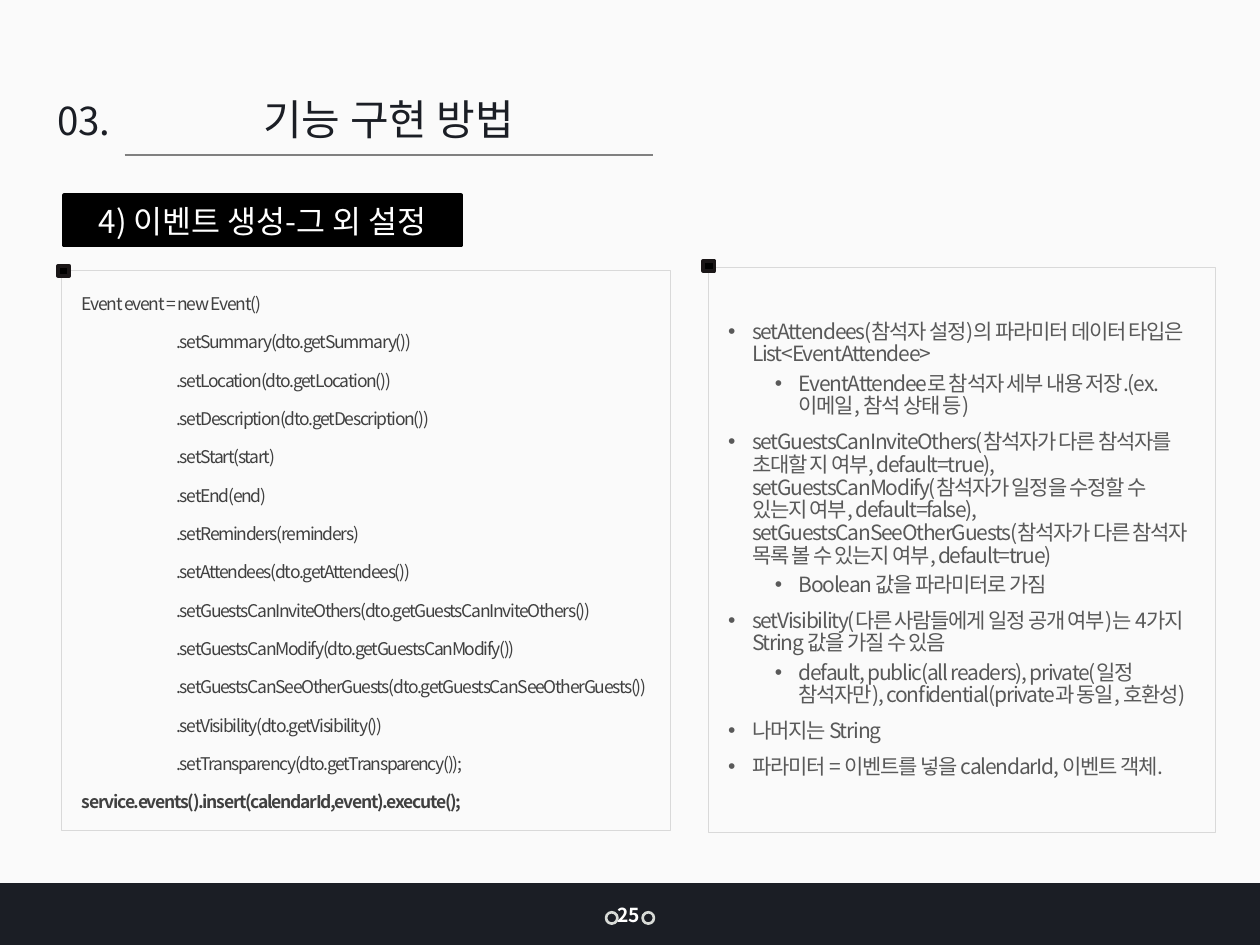
from lxml import etree
from pptx import Presentation
from pptx import util as u
from pptx.dml.color import RGBColor
from pptx.enum import shapes, text
from pptx.oxml.ns import qn

FONT = "Noto Sans CJK KR"
COLORS = {
    "paper": "FAFAFA", "navy": "1B1E25", "rule": "808080", "border": "D9D9D9",
    "black": "000000", "marker": "1A1617", "white": "FFFFFF", "ring": "D8DBD7",
    "code": "404040", "note": "595959",
}
SETTERS = [
    "setSummary(dto.getSummary())",
    "setLocation(dto.getLocation())",
    "setDescription(dto.getDescription())",
    "setStart(start)",
    "setEnd(end)",
    "setReminders(reminders)",
    "setAttendees(dto.getAttendees())",
    "setGuestsCanInviteOthers(dto.getGuestsCanInviteOthers())",
    "setGuestsCanModify(dto.getGuestsCanModify())",
    "setGuestsCanSeeOtherGuests(dto.getGuestsCanSeeOtherGuests())",
    "setVisibility(dto.getVisibility())",
    "setTransparency(dto.getTransparency());",
]
CODE = (["Event event = new Event()"] + ["\t." + call for call in SETTERS]
        + ["service.events().insert(calendarId,event).execute();"])
NOTES = [
    (0, "setAttendees(참석자 설정)의 파라미터 데이터 타입은 List<EventAttendee>"),
    (1, "EventAttendee로 참석자 세부 내용 저장.(ex. 이메일, 참석 상태 등)"),
    (0, "setGuestsCanInviteOthers(참석자가 다른 참석자를 초대할 지 여부, default=true), "
        "setGuestsCanModify(참석자가 일정을 수정할 수 있는지 여부, default=false), "
        "setGuestsCanSeeOtherGuests(참석자가 다른 참석자 목록 볼 수 있는지 여부, default=true)"),
    (1, "Boolean 값을 파라미터로 가짐"),
    (0, "setVisibility(다른 사람들에게 일정 공개 여부)는 4가지 String 값을 가질 수 있음"),
    (1, "default, public(all readers), private(일정 참석자만), "
        "confidential(private과 동일, 호환성)"),
    (0, "나머지는 String"),
    (0, "파라미터 = 이벤트를 넣을 calendarId, 이벤트 객체."),
]


def rgb(name):
    return RGBColor.from_string(COLORS[name])


class Deck:
    def __init__(self):
        self.prs = Presentation()
        self.prs.slide_width, self.prs.slide_height = u.Inches(10), u.Inches(7.5)
        self.s = self.prs.slides.add_slide(self.prs.slide_layouts[6])

    def shape(self, box, fill=None, line=None, width=1, kind="RECTANGLE"):
        sp = self.s.shapes.add_shape(
            getattr(shapes.MSO_SHAPE, kind), *map(u.Inches, box))
        sp.shadow.inherit = False
        if fill:
            sp.fill.solid()
            sp.fill.fore_color.rgb = rgb(fill)
        else:
            sp.fill.background()
        if line:
            sp.line.color.rgb = rgb(line)
            sp.line.width = u.Pt(width)
        else:
            sp.line.fill.background()
        return sp

    def rule(self, x1, x2, y):
        line = self.s.shapes.add_connector(
            shapes.MSO_CONNECTOR.STRAIGHT, *map(u.Inches, (x1, y, x2, y)))
        line.line.color.rgb = rgb("rule")
        line.line.width = u.Pt(0.75)
        etree.SubElement(line._element.spPr, qn("a:effectLst"))

    def style(self, p, size, color, bold=None, spacing=None):
        for r in p.runs:
            r.font.size, r.font.name, r.font.bold = u.Pt(size), FONT, bold
            r.font.color.rgb = rgb(color)
            rpr = r._r.get_or_add_rPr()
            rpr.set("kern", "0")
            etree.SubElement(rpr, qn("a:ea"), typeface=FONT)
            if spacing:
                rpr.set("spc", str(round(spacing * 100)))

    def label(self, sp, words, size, color, align="CENTER", bold=None):
        sp.text_frame.text = words
        p = sp.text_frame.paragraphs[0]
        p.alignment = getattr(text.PP_ALIGN, align)
        self.style(p, size, color, bold)

    def text(self, box, words, size, color, align="CENTER", bold=None, wrap=True):
        sp = self.s.shapes.add_textbox(*map(u.Inches, box))
        sp.text_frame.word_wrap = wrap
        self.label(sp, words, size, color, align, bold)

    def panel(self, box):
        tf = self.shape(box, line="border", width=0.5).text_frame
        tf.word_wrap = True
        tf.vertical_anchor = text.MSO_ANCHOR.MIDDLE
        tf.margin_left = tf.margin_right = u.Inches(0.16)
        return tf

    def marker(self, x, y):
        self.shape((x, y, 0.09, 0.08), "black", "marker", 2)

    def paragraph(self, tf, i, words, before, leading):
        p = tf.paragraphs[0] if i == 0 else tf.add_paragraph()
        p.text = words
        p.alignment = text.PP_ALIGN.LEFT
        p.line_spacing = leading
        p.space_before = u.Pt(before if i else 0)
        return p

    def code(self, box, lines):
        tf = self.panel(box)
        for i, words in enumerate(lines):
            p = self.paragraph(tf, i, words, 7.5, 1.2)
            tabs = etree.SubElement(p._p.get_or_add_pPr(), qn("a:tabLst"))
            etree.SubElement(tabs, qn("a:tab"), pos=str(u.Inches(0.75)), algn="l")
            self.style(p, 10, "code", i == len(lines) - 1, -0.7)

    def bullets(self, box, items):
        tf = self.panel(box)
        for i, (level, words) in enumerate(items):
            p = self.paragraph(tf, i, words, 3.8 if level else 7.5, 0.9)
            p.level = level
            ppr = p._p.get_or_add_pPr()
            ppr.set("marL", str(u.Inches(0.56 if level else 0.19)))
            ppr.set("indent", str(u.Inches(-0.19)))
            etree.SubElement(ppr, qn("a:buFont"), typeface="Arial")
            etree.SubElement(ppr, qn("a:buChar"), char="•")
            self.style(p, 12, "note", spacing=-0.7)


def main():
    deck = Deck()
    deck.shape((0, 0, 10.01, 7.5), "paper")
    deck.shape((0, 7.01, 10, 0.49), "navy")
    deck.text((0.7, 0.69, 4.77, 0.5), "기능 구현 방법", 24, "navy")
    deck.rule(0.99, 5.18, 1.23)
    deck.text((0.3, 0.72, 0.8, 0.47), "03. ", 22, "navy")
    deck.bullets((5.62, 2.12, 4.03, 4.49), NOTES)
    deck.marker(5.58, 2.07)
    topic = deck.shape((0.51, 1.55, 3.15, 0.4), "black", "black", 2)
    deck.label(topic, "4) 이벤트 생성-그 외 설정", 18, "white")
    deck.code((0.49, 2.15, 4.83, 4.44), CODE)
    deck.marker(0.46, 2.11)
    for x in (4.81, 5.1):
        deck.shape((x, 7.24, 0.09, 0.09), "navy", "ring", 1.5, "OVAL")
    deck.text((4.8, 7.12, 0.39, 0.29), "25", 11, "white", "LEFT", True, False)
    deck.prs.save("out.pptx")


if __name__ == "__main__":
    main()
